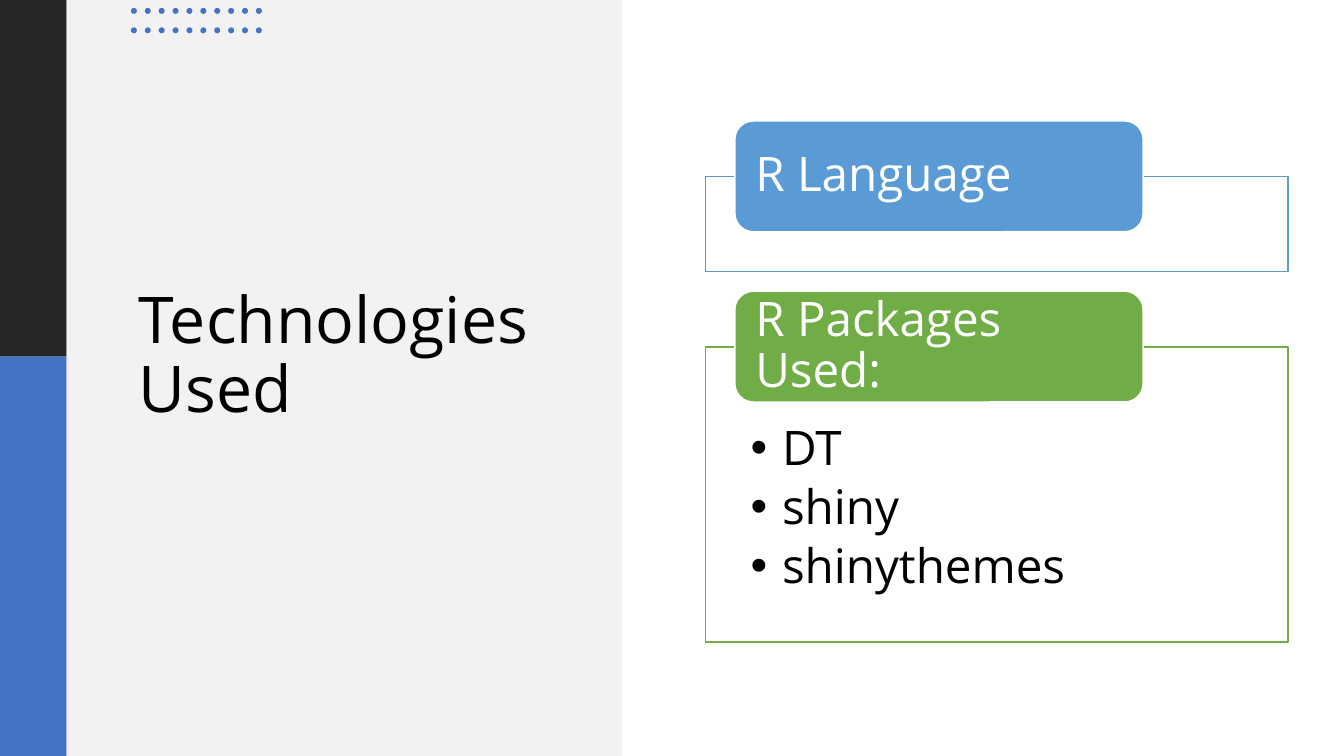
from lxml.etree import SubElement
from pptx import Presentation
from pptx.dml.color import RGBColor
from pptx.enum.shapes import MSO_SHAPE as Preset
from pptx.enum.text import MSO_ANCHOR as Anchor, PP_ALIGN as Align
from pptx.oxml.ns import qn
from pptx.util import Cm, Pt

COLOURS = {
    "dark": "262626", "accent": "4472C4", "panel": "F2F2F2", "white": "FFFFFF",
    "black": "000000", "language": "5B9BD5", "packages": "70AD47",
}


class SlideBuilder:
    font = "Open Sans"

    def __init__(self, slide):
        self.slide = slide

    def colour(self, name):
        return RGBColor.from_string(COLOURS[name])

    def shape(self, preset, left, top, width, height, fill, line=None):
        shape = self.slide.shapes.add_shape(
            preset, Cm(left), Cm(top), Cm(width), Cm(height))
        shape.shadow.inherit = False
        shape.fill.solid()
        shape.fill.fore_color.rgb = self.colour(fill)
        if line:
            shape.line.color.rgb = self.colour(line)
            shape.line.width = Pt(1)
        else:
            shape.line.fill.background()
        return shape

    def add_text(self, shape, lines, size, colour, insets, anchor=Anchor.MIDDLE,
                 bullets=False):
        frame = shape.text_frame
        frame.word_wrap = True
        frame.vertical_anchor = anchor
        (frame.margin_left, frame.margin_top,
         frame.margin_right, frame.margin_bottom) = map(Cm, insets)
        for index, line in enumerate(lines):
            paragraph = frame.add_paragraph() if index else frame.paragraphs[0]
            paragraph.alignment = Align.LEFT
            paragraph.line_spacing = 0.9
            if bullets:
                self.bullet(paragraph)
            run = paragraph.add_run()
            run.text = line
            run.font.name = self.font
            run.font.size = Pt(size)
            run.font.color.rgb = self.colour(colour)

    def bullet(self, paragraph):
        paragraph.space_after = Pt(5.3)
        properties = paragraph._p.get_or_add_pPr()
        properties.set("marL", str(Cm(0.79)))
        properties.set("indent", str(Cm(-0.79)))
        SubElement(properties, qn("a:buFont"), typeface="Arial")
        SubElement(properties, qn("a:buChar"), char="•")

    def title(self, text, left, top, width, height):
        box = self.slide.shapes.add_textbox(
            Cm(left), Cm(top), Cm(width), Cm(height))
        self.add_text(box, [text], 46, "black", (0.25, 0.13, 0.25, 0.13))

    def dots(self, left, top, columns, rows, column_gap, row_gap, size):
        for column in range(columns):
            for row in range(rows):
                self.shape(Preset.OVAL, left + column * column_gap,
                           top + row * row_gap, size, size, "accent")

    def section(self, heading, items, colour, top, height):
        frame = self.shape(Preset.RECTANGLE, 17.78, top, 14.68, height,
                           "white", colour)
        if items:
            self.add_text(frame, items, 34, "black", (1.14, 1.96, 1.14, 0.66),
                          Anchor.TOP, bullets=True)
        tab = self.shape(Preset.ROUNDED_RECTANGLE, 18.52, top - 1.4, 10.29, 2.79,
                         colour, "white")
        self.add_text(tab, [heading], 34, "white", (0.38, 0, 0.38, 0))


presentation = Presentation()
presentation.slide_width, presentation.slide_height = Cm(33.87), Cm(19.05)
builder = SlideBuilder(
    presentation.slides.add_slide(presentation.slide_layouts[6]))

# Side bands and title panel
builder.shape(Preset.RECTANGLE, 0, 0, 1.68, 8.99, "dark")
builder.shape(Preset.RECTANGLE, 0, 8.99, 1.68, 10.06, "accent")
builder.shape(Preset.RECTANGLE, 1.68, 0, 14, 19.05, "panel")
builder.title("Technologies Used", 3.25, 3.33, 10.46, 11.33)

# Dot grid
builder.dots(3.3, 0.2, columns=10, rows=2, column_gap=0.35, row_gap=0.49,
             size=0.15)

# Technology sections
builder.section("R Language", [], "language", 4.45, 2.39)
builder.section("R Packages Used:", ["DT", "shiny", "shinythemes"],
                "packages", 8.74, 7.44)

presentation.save("out.pptx")
